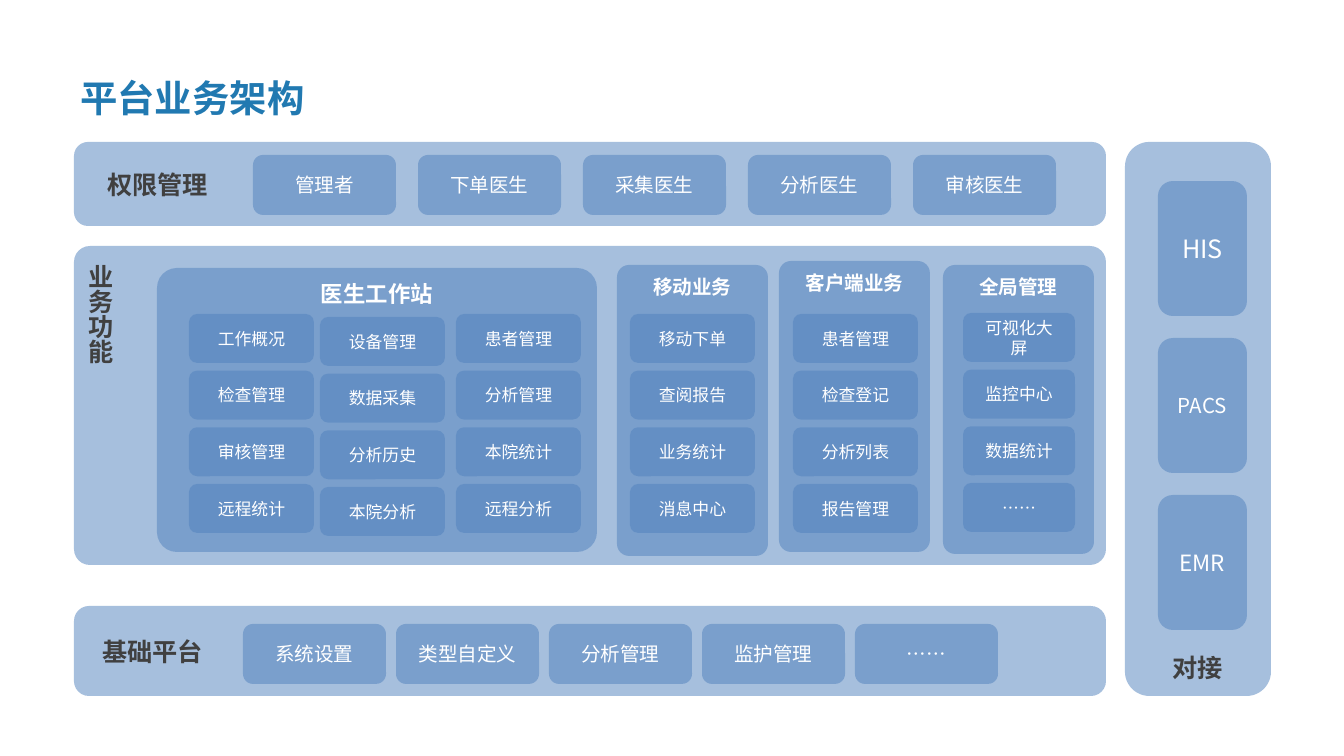
from dataclasses import dataclass
from lxml import etree
from pptx import Presentation
from pptx import util as u
from pptx.dml.color import RGBColor
from pptx.enum import shapes, text
from pptx.oxml.ns import qn


@dataclass(frozen=True)
class Theme:
    font: str = "Noto Sans CJK SC"
    fill: str = "4F81BD"
    alpha: int = 50
    title: str = "2179B1"
    dark: str = "404040"
    white: str = "FFFFFF"
    head: float = 20
    label: float = 13.5
    large: float = 12
    body: float = 10.5
    small: float = 9


T = Theme()
PX = 914400 / 134.4
LEFT, CENTER = text.PP_ALIGN.LEFT, text.PP_ALIGN.CENTER
TOP, MIDDLE, BOTTOM = (text.MSO_ANCHOR.TOP, text.MSO_ANCHOR.MIDDLE,
                       text.MSO_ANCHOR.BOTTOM)

TITLE = "平台业务架构"

# label, band box, left inset, first tile x and y, tile step, tiles
BANDS = [
    ("权限管理", (74, 142, 1032, 84), 29, (253, 155), 165,
     ["管理者", "下单医生", "采集医生", "分析医生", "审核医生"]),
    ("基础平台", (74, 606, 1032, 90), 24, (243, 624), 153,
     ["系统设置", "类型自定义", "分析管理", "监护管理", "……"]),
]
TILE = (143, 60)

WORK = ("业务功能", (74, 246, 1032, 319))
# heading, size, panel box, corner, cell width, columns of (x, y, cells)
PANELS = [
    ("医生工作站", T.large, (157, 268, 440, 284), 0.07, 125, [
        (189, 314, ["工作概况", "检查管理", "审核管理", "远程统计"]),
        (320, 317, ["设备管理", "数据采集", "分析历史", "本院分析"]),
        (456, 314, ["患者管理", "分析管理", "本院统计", "远程分析"])]),
    ("移动业务", T.body, (617, 265, 151, 291), 0.08, 125, [
        (630, 314, ["移动下单", "查阅报告", "业务统计", "消息中心"])]),
    ("客户端业务", T.body, (779, 261, 151, 291), 0.08, 125, [
        (793, 314, ["患者管理", "检查登记", "分析列表", "报告管理"])]),
    ("全局管理", T.body, (943, 265, 151, 289), 0.08, 112, [
        (963, 313, ["可视化大屏", "监控中心", "数据统计", "……"])]),
]
CELL_H, ROWS_SPAN = 49, 170

LINK = ("对接", (1125, 142, 146, 554))
SYSTEMS = [("HIS", T.label), ("PACS", 11), ("EMR", T.large)]
SYS_BOX, SYS_STEP = (1158, 181, 89, 135), 157


def px(n):
    return u.Emu(round(n * PX))


def write(frame, words, size, color, bold, align, anchor):
    frame.word_wrap = True
    frame.vertical_anchor = anchor
    para = frame.paragraphs[0]
    para.alignment = align
    run = para.add_run()
    run.text = words
    font = run.font
    font.size, font.bold, font.name = u.Pt(size), bold, T.font
    font.color.rgb = RGBColor.from_string(color)
    etree.SubElement(run._r.get_or_add_rPr(), qn("a:ea"), typeface=T.font)
    return para


def block(slide, box, words, size, color=T.white, bold=False,
          align=CENTER, anchor=MIDDLE, corner=None):
    """Add a translucent rounded rectangle holding one line of text."""
    shape = slide.shapes.add_shape(
        shapes.MSO_SHAPE.ROUNDED_RECTANGLE, *map(px, box))
    shape.shadow.inherit = False
    shape.line.fill.background()
    shape.fill.solid()
    shape.fill.fore_color.rgb = RGBColor.from_string(T.fill)
    tint = shape._element.spPr.find(".//" + qn("a:srgbClr"))
    etree.SubElement(tint, qn("a:alpha"), val=str(T.alpha * 1000))
    if corner is not None:
        shape.adjustments[0] = corner
    write(shape.text_frame, words, size, color, bold, align, anchor)
    return shape


def add_title(slide):
    box = slide.shapes.add_textbox(*map(px, (67, 0, 1153, 126)))
    para = write(box.text_frame, TITLE, T.head, T.title, True, LEFT, MIDDLE)
    para.line_spacing = u.Pt(60.8)


def add_bands(slide):
    for label, box, inset, (x, y), step, names in BANDS:
        band = block(slide, box, label, T.label, T.dark, True, LEFT)
        band.text_frame.margin_left = px(inset)
        for i, name in enumerate(names):
            block(slide, (x + i * step, y, *TILE), name, T.body)


def add_work(slide):
    label, box = WORK
    area = block(slide, box, label, T.label, T.dark, True, LEFT, BOTTOM, 0.05)
    area.text_frame._txBody.bodyPr.set("vert", "eaVert")
    for head, size, box, corner, wide, cols in PANELS:
        block(slide, box, head, size, bold=True, anchor=TOP, corner=corner)
        for x, y, names in cols:
            step = ROWS_SPAN / (len(names) - 1)
            for i, name in enumerate(names):
                block(slide, (x, y + i * step, wide, CELL_H), name, T.small)


def add_links(slide):
    label, box = LINK
    block(slide, box, label, T.label, T.dark, True, anchor=BOTTOM)
    x, y, w, h = SYS_BOX
    for i, (name, size) in enumerate(SYSTEMS):
        block(slide, (x, y + i * SYS_STEP, w, h), name, size)


def main():
    deck = Presentation()
    deck.slide_width, deck.slide_height = px(1344), px(756)
    slide = deck.slides.add_slide(deck.slide_layouts[6])
    add_title(slide)
    add_work(slide)
    add_links(slide)
    add_bands(slide)
    deck.save("out.pptx")


if __name__ == "__main__":
    main()
